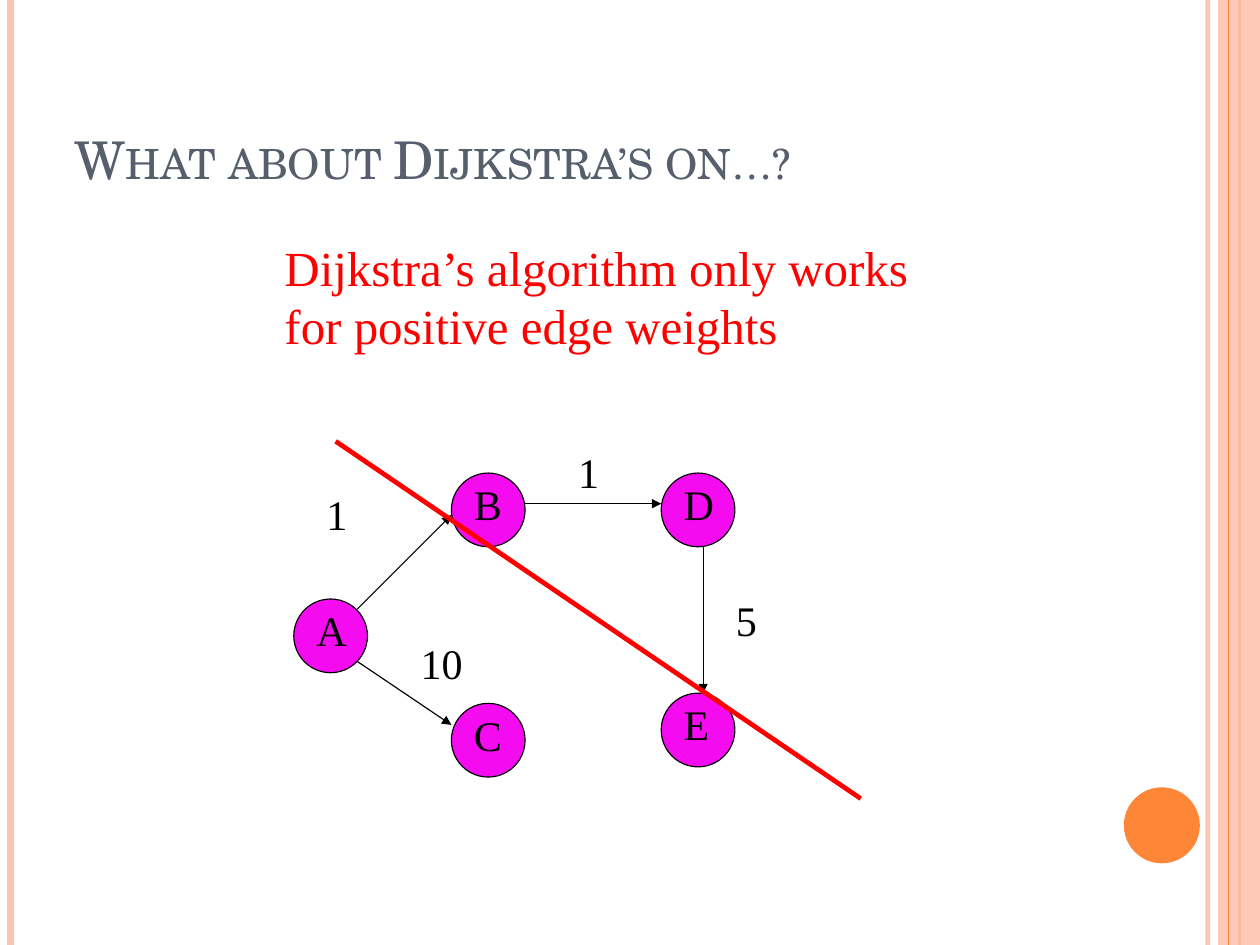
import pptx
import pptx.util
import pptx.dml.color
import pptx.enum.shapes
import pptx.enum.text
import pptx.oxml
import pptx.oxml.ns
from dataclasses import dataclass
from lxml import etree

Inches = pptx.util.Inches
Pt = pptx.util.Pt
SHAPES = pptx.enum.shapes.MSO_SHAPE
ANCHORS = pptx.enum.text.MSO_ANCHOR

TITLE = "What about Dijkstra’s on…?"
MESSAGE = "Dijkstra’s algorithm only works for positive edge weights"

# Left and top of each node
NODES = {"A": (2.59, 5.28), "B": (3.98, 4.17), "C": (3.98, 6.2),
         "E": (5.83, 6.11), "D": (5.83, 4.17)}
# Start, end, weight, left and top of the weight
EDGES = [
    ((3.15, 5.37), (3.98, 4.54), "1", (2.78, 4.26)),
    ((3.15, 5.83), (3.98, 6.39), "10", (3.61, 5.57)),
    ((4.63, 4.44), (5.83, 4.44), "1", (5, 3.89)),
    ((6.2, 4.81), (6.2, 6.11), "5", (6.39, 5.19)),
]
STRIKE = ((2.96, 3.89), (7.59, 7.04))


@dataclass(frozen=True)
class Theme:
    title_font: str = "TeX Gyre Schola"
    body_font: str = "Times New Roman"
    title_size: float = 33
    message_size: float = 31.1
    label_size: float = 26.7
    title: str = "575F6D"
    ink: str = "000000"
    alert: str = "FF0000"
    node: str = "F50BEF"
    accent: str = "FE8637"
    pale: str = "FEC3AE"


theme = Theme()
WIDTH, HEIGHT = 11.11, 8.33
NODE_SIZE = 0.65
LABEL_INDENT = 0.1
LABEL_HEIGHT = 0.55


def rgb(value):
    return pptx.dml.color.RGBColor.from_string(value)


def set_opacity(shape, percent):
    """Apply opacity to the first colour of a shape, its fill or its line."""
    color = shape._element.spPr.find(".//" + pptx.oxml.ns.qn("a:srgbClr"))
    etree.SubElement(color, pptx.oxml.ns.qn("a:alpha"), val=str(percent * 1000))


def add_line(page, start, end, color, weight, arrow=False):
    line = page.shapes.add_connector(
        pptx.enum.shapes.MSO_CONNECTOR.STRAIGHT,
        *(Inches(value) for value in (*start, *end)))
    line.line.color.rgb = rgb(color)
    line.line.width = Pt(weight)
    if arrow:
        etree.SubElement(line.line._get_or_add_ln(),
                         pptx.oxml.ns.qn("a:tailEnd"), type="triangle")
    etree.SubElement(line._element.spPr, pptx.oxml.ns.qn("a:effectLst"))
    return line


def add_rule(page, x, color, weight):
    """Draw a vertical line over the full height of the page."""
    return add_line(page, (x, 0), (x, HEIGHT), color, weight)


def add_filled(parent, kind, area, fill, outline=None):
    shape = parent.shapes.add_shape(kind, *map(Inches, area))
    shape.shadow.inherit = False
    shape.fill.solid()
    shape.fill.fore_color.rgb = rgb(fill)
    if outline:
        shape.line.color.rgb = rgb(outline)
        shape.line.width = Pt(0.75)
    else:
        shape.line.fill.background()
    return shape


def add_text(parent, text, area, size=theme.label_size, color=theme.ink,
             font=theme.body_font, anchor=ANCHORS.TOP):
    box = parent.shapes.add_textbox(*map(Inches, area))
    frame = box.text_frame
    frame.word_wrap = True
    frame.vertical_anchor = anchor
    span = frame.paragraphs[0].add_run()
    span.text = text
    span.font.name = font
    span.font.size = Pt(size)
    span.font.color.rgb = rgb(color)
    return span


def add_frame(page):
    """Draw the rules, the right band and the disc that frame the page."""
    set_opacity(add_rule(page, 10.65, theme.pale, 3), 93)
    add_rule(page, 0.09, theme.pale, 4.5)
    add_rule(page, 10.93, theme.accent, 1.5)
    band = add_filled(page, SHAPES.RECTANGLE, (10.74, 0, 0.37, HEIGHT), theme.pale)
    set_opacity(band, 87)
    add_rule(page, 10.83, theme.accent, 0.75)
    add_filled(page, SHAPES.OVAL, (9.91, 6.94, 0.67, 0.67), theme.accent)


def add_graph(page):
    for name, (left, top) in NODES.items():
        node = page.shapes.add_group_shape()
        add_filled(node, SHAPES.OVAL, (left, top, NODE_SIZE, NODE_SIZE),
                   theme.node, theme.ink)
        add_text(node, name, (left + LABEL_INDENT, top,
                              NODE_SIZE - LABEL_INDENT, LABEL_HEIGHT))
    for start, end, weight, place in EDGES:
        add_line(page, start, end, theme.ink, 0.75, arrow=True)
        add_text(page, weight, (*place, 0.83, LABEL_HEIGHT))


def main():
    deck = pptx.Presentation()
    deck.slide_width, deck.slide_height = Inches(WIDTH), Inches(HEIGHT)
    page = deck.slides.add_slide(deck.slide_layouts[6])
    add_frame(page)
    title = add_text(page, TITLE, (0.56, 0.33, 9.07, 1.39), theme.title_size,
                     theme.title, theme.title_font, ANCHORS.BOTTOM)
    title._r.get_or_add_rPr().set("cap", "small")
    add_graph(page)
    add_line(page, *STRIKE, theme.alert, 3)
    add_text(page, MESSAGE, (2.41, 2.04, 6.11, 1.15),
             theme.message_size, theme.alert)
    deck.save("out.pptx")


if __name__ == "__main__":
    main()
